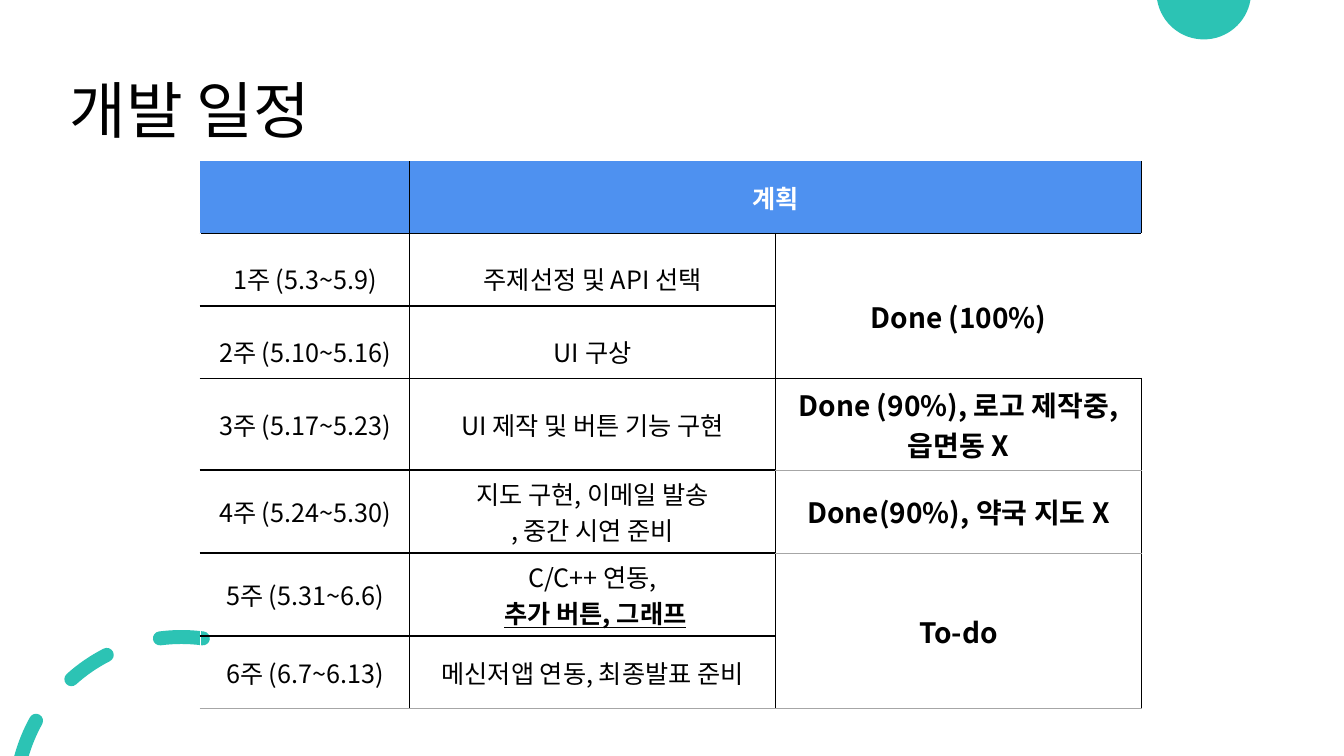
import math
from dataclasses import dataclass, field

from lxml import etree
from pptx import Presentation
from pptx.dml.color import RGBColor
from pptx.enum import text
from pptx.oxml import ns
from pptx.util import Pt

TEAL = RGBColor(0x2C, 0xC3, 0xB4)
BLUE = RGBColor(0x4E, 0x91, 0xF0)
BLACK = RGBColor(0, 0, 0)
WHITE = RGBColor(255, 255, 255)
GREY = RGBColor(0xA6, 0xA6, 0xA6)
FACE = "Noto Sans CJK KR"
PLAIN = "{2D5ABB26-0587-4C30-8999-92F81FD0307C}"
FLOOR = 540

HEAD = {"size": Pt(18), "bold": True}
BODY = {"size": Pt(18), "bold": False}
STATE = {"size": Pt(20), "bold": True}
MARK = {"size": Pt(18), "bold": True, "underline": True}

LINE = (BLACK, 1)
BLANK = (WHITE, 1)
THIN = (GREY, 0.25)
BOX = {"L": LINE, "R": LINE, "T": LINE, "B": LINE}


@dataclass
class Arc:
    """Dash along the ring, angles in degrees; cut ones end at the floor."""
    rad: float
    start: float
    end: float
    cut: bool = False


@dataclass
class Entry:
    row: int
    col: int
    lines: tuple = ()       # text after "|" is marked
    form: dict = field(default_factory=lambda: BODY)
    edges: dict = field(default_factory=lambda: BOX)
    rows: int = 1
    cols: int = 1


def write(para, words: str, form: dict, ink: RGBColor) -> None:
    run = para.add_run()
    run.text = words
    for key, val in {"name": FACE, **form}.items():
        setattr(run.font, key, val)
    run.font.color.rgb = ink
    prop = run._r.get_or_add_rPr()
    prop.set("kern", "0")
    etree.SubElement(prop, ns.qn("a:ea"), typeface=FACE)


def edge(cell, edges: dict) -> None:
    prop = cell._tc.get_or_add_tcPr()
    sides = [side for side in "LRTB" if side in edges]
    for spot, side in enumerate(sides):
        ink, width = edges[side]
        line = etree.Element(ns.qn("a:ln" + side), w=str(int(Pt(width))))
        fill = etree.SubElement(line, ns.qn("a:solidFill"))
        etree.SubElement(fill, ns.qn("a:srgbClr"), val=str(ink))
        prop.insert(spot, line)


def polar(x: float, y: float, rad: float, deg: float) -> tuple:
    turn = math.radians(deg)
    return x + rad * math.cos(turn), y - rad * math.sin(turn)


def curve(x: float, y: float, rad: float, *stops: float) -> list:
    """Start point, then three curve points for each stop."""
    dots = [polar(x, y, rad, stops[0])]
    for a, b in zip(stops, stops[1:]):
        pull = 4 / 3 * math.tan(math.radians(b - a) / 4)
        far = rad * math.hypot(1, pull)
        lean = math.degrees(math.atan(pull))
        dots += [polar(x, y, far, a + lean), polar(x, y, far, b - lean),
                 polar(x, y, rad, b)]
    return dots


def trace(slide, rings: list) -> None:
    """One shape from rings, each a list of joined curves."""
    pen = None
    for ring in rings:
        dots = [(int(Pt(x)), int(Pt(y))) for part in ring for x, y in part]
        if pen is None:
            pen = slide.shapes.build_freeform(*dots[0])
        else:
            pen.move_to(*dots[0])
        pen.add_line_segments(dots[1:], close=True)
    shape = pen.convert_to_shape()
    shape.shadow.inherit = False
    shape.fill.solid()
    shape.fill.fore_color.rgb = TEAL
    shape.line.fill.background()
    # Turn each run of three points into a curve
    steps = iter(list(shape._element.iter(ns.qn("a:moveTo"), ns.qn("a:lnTo"))))
    for ring in rings:
        for part in ring:
            next(steps)
            for _ in range(len(part) // 3):
                trio = [next(steps) for _ in range(3)]
                bend = etree.Element(ns.qn("a:cubicBezTo"))
                trio[0].addprevious(bend)
                for step in trio:
                    bend.append(step[0])
                    step.getparent().remove(step)


def dash(arc: Arc) -> list:
    x, y, half = 129.6, 572.4, 5
    out, low = arc.rad + half, arc.rad - half
    begin = {r: 180 - math.degrees(math.asin((y - FLOOR) / r))
             if arc.cut else arc.start for r in (out, low)}
    a, b = arc.start, arc.end
    ring = [curve(x, y, out, begin[out], b),
            curve(*polar(x, y, arc.rad, b), half, b, b - 90, b - 180),
            curve(x, y, low, b, begin[low])]
    if not arc.cut:
        ring.append(curve(*polar(x, y, arc.rad, a), half, a + 180, a + 90, a))
    return ring


def place(grid, item: Entry) -> None:
    top = item.row == 0
    cell = grid.cell(item.row, item.col)
    for r in range(item.row, item.row + item.rows):
        for c in range(item.col, item.col + item.cols):
            part = grid.cell(r, c)
            if top:
                part.fill.solid()
                part.fill.fore_color.rgb = BLUE
            else:
                part.fill.background()
            edge(part, item.edges)
    if item.rows * item.cols > 1:
        cell.merge(grid.cell(item.row + item.rows - 1,
                             item.col + item.cols - 1))
    cell.vertical_anchor = text.MSO_ANCHOR.MIDDLE
    frame = cell.text_frame
    for i, words in enumerate(item.lines):
        para = frame.paragraphs[0] if i == 0 else frame.add_paragraph()
        para.alignment = text.PP_ALIGN.CENTER
        if item.row in (1, 2):
            para.line_spacing = 1.5
        plain, _, mark = words.partition("|")
        write(para, plain, item.form, WHITE if top else BLACK)
        if mark:
            write(para, mark, MARK, BLACK)


# Slide
deck = Presentation()
deck.slide_width, deck.slide_height = Pt(960), Pt(FLOOR)
slide = deck.slides.add_slide(deck.slide_layouts[5])

# Corner circle and dashed ring
trace(slide, [[curve(859.9, -5.6, 33.8, 350.5, 270, 189.5)]])
trace(slide, [dash(Arc(118.7, 165, 151, True)), dash(Arc(117.4, 132, 117)),
              dash(Arc(117.4, 97.5, 82.5))])

# Title
title = slide.shapes.title
spot = {"left": 42.5, "top": 28.8, "width": 828, "height": 104.4}
for key, val in spot.items():
    setattr(title, key, Pt(val))
title.text_frame.vertical_anchor = text.MSO_ANCHOR.MIDDLE
para = title.text_frame.paragraphs[0]
para.alignment, para.line_spacing = text.PP_ALIGN.LEFT, 0.9
write(para, "개발 일정", {"size": Pt(44)}, BLACK)

# Schedule: week and plan of each row
WEEKS = [
    ("1주\u00a0(5.3~5.9)", "주제선정 및 API 선택"),
    ("2주 (5.10~5.16)", "UI 구상"),
    ("3주\u00a0(5.17~5.23)", "UI 제작 및 버튼 기능 구현"),
    ("4주\u00a0(5.24~5.30)", "지도 구현,\u00a0이메일\u00a0발송",
     ", 중간 시연 준비"),
    ("5주\u00a0(5.31~6.6)", "C/C++ 연동,",
     "\u00a0|추가 버튼,\u00a0그래프"),
    ("6주\u00a0(6.7~6.13)", "메신저앱 연동, 최종발표 준비"),
]
items = [
    Entry(0, 0, edges={"R": LINE, "B": LINE}),
    Entry(0, 1, ("계획",), HEAD, {"L": LINE, "R": LINE, "B": LINE}, cols=2),
    Entry(1, 2, ("Done\u00a0(100%)",), STATE, {**BOX, "R": BLANK}, rows=2),
    Entry(3, 2, ("Done\u00a0(90%),\u00a0로고 제작중, 읍면동 X",), STATE,
          {**BOX, "B": THIN}),
    Entry(4, 2, ("Done(90%), 약국 지도 X",), STATE,
          {**BOX, "T": THIN, "B": THIN}),
    Entry(5, 2, ("To-do",), STATE, {**BOX, "T": THIN, "B": THIN}, rows=2),
]
for row, (week, *plan) in enumerate(WEEKS, 1):
    rim = {**BOX, "B": THIN if row == len(WEEKS) else LINE}
    items += [Entry(row, 0, (week,), edges={**rim, "L": BLANK}),
              Entry(row, 1, tuple(plan), edges=rim)]

# Table
WIDE = (149.6, 261.4, 261.4)
count = len(WEEKS) + 1
frame = slide.shapes.add_table(count, len(WIDE), Pt(143), Pt(115),
                               Pt(sum(WIDE)), Pt(51.8 * count))
grid = frame.table
grid.first_row = grid.horz_banding = False
grid._tbl.tblPr.find(ns.qn("a:tableStyleId")).text = PLAIN
for col, wide in zip(grid.columns, WIDE):
    col.width = Pt(wide)
for item in items:
    place(grid, item)

deck.save("out.pptx")
